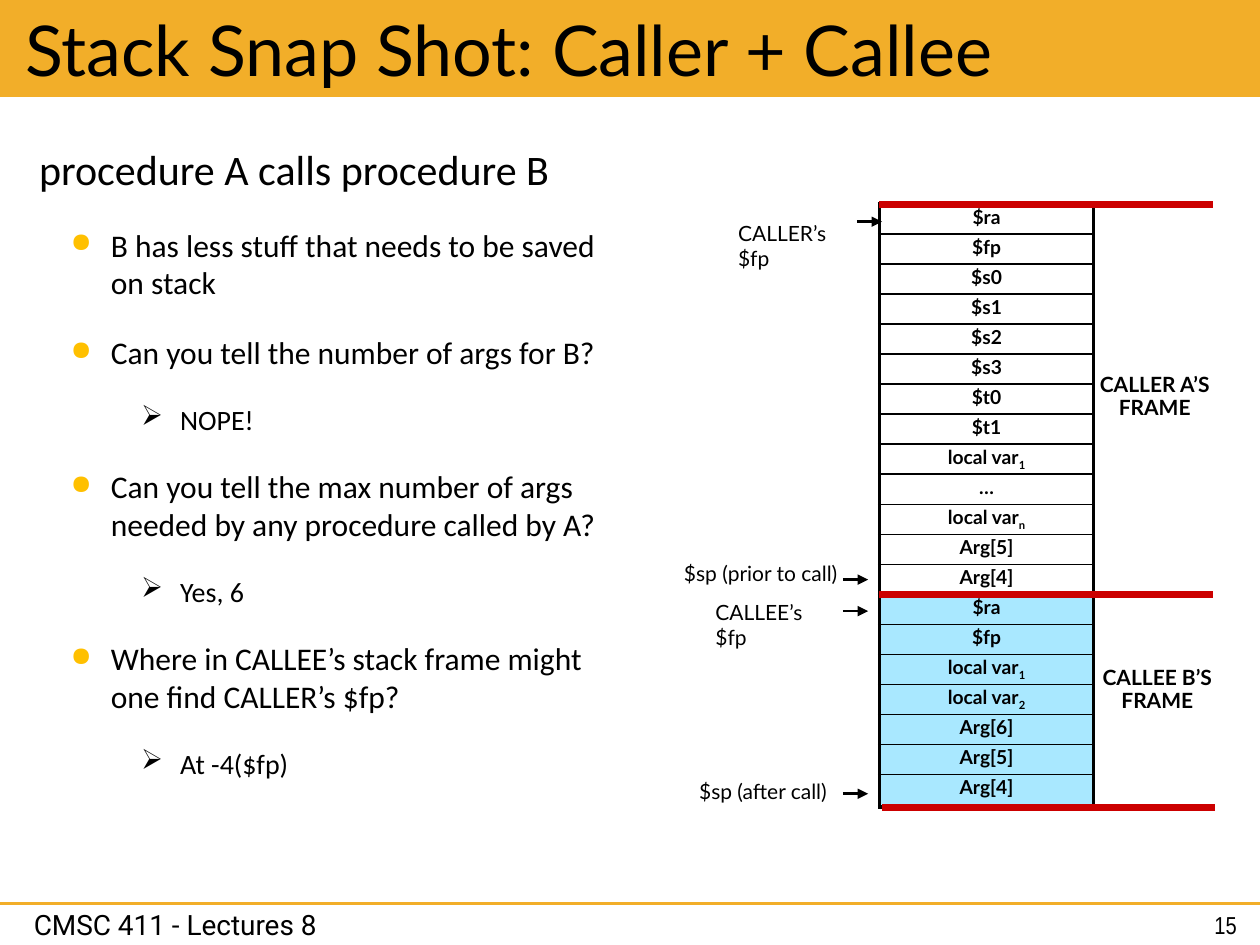
from lxml import etree
from pptx import Presentation
from pptx import util as u
from pptx.dml.color import RGBColor
from pptx.enum import shapes, text
from pptx.oxml.ns import qn

Inches, Pt = u.Inches, u.Pt
LEFT, CENTER = text.PP_ALIGN.LEFT, text.PP_ALIGN.CENTER
BLACK, WHITE, GOLD, RED, SKY = "000000", "FFFFFF", "F2AE29", "CC0000", "A9E8FF"
BULLETS = {1: ("●", "FFC000", 85, 0.57, -0.32), 2: ("➢", BLACK, 100, 1.12, -0.31)}
BODY_SIZES = (24, 18, 16)


def color(value):
    return RGBColor.from_string(value)


def add_element(parent, tag, **attributes):
    element = etree.SubElement(parent, qn(tag))
    for name, value in attributes.items():
        element.set(name, str(value))
    return element


class SlideBuilder:
    font = "Lato"

    def __init__(self, slide):
        self.slide = slide

    def run(self, paragraph, words, size, font=None, bold=False, baseline=0):
        run = paragraph.add_run()
        run.text = words
        run.font.name = font or self.font
        run.font.size = Pt(size)
        run.font.bold = bold
        run.font.color.rgb = color(BLACK)
        if baseline:
            run.font._element.set("baseline", str(baseline * 1000))

    def frame(self, shape, margins, wrap=True, anchor=text.MSO_ANCHOR.TOP):
        frame = shape.text_frame
        frame.word_wrap = wrap
        frame.vertical_anchor = anchor
        frame.margin_left = frame.margin_right = Inches(margins[0])
        frame.margin_top = frame.margin_bottom = Inches(margins[1])
        return frame

    def label(self, box, lines, size=12, font=None, bold=False, wrap=False,
              align=LEFT, spacing=None, margins=(0.1, 0.05)):
        shape = self.slide.shapes.add_textbox(*map(Inches, box))
        frame = self.frame(shape, margins, wrap)
        for index, words in enumerate(lines):
            paragraph = frame.add_paragraph() if index else frame.paragraphs[0]
            paragraph.alignment = align
            paragraph.line_spacing = spacing
            self.run(paragraph, words, size, font, bold)

    def title(self, box, words):
        shape = self.slide.shapes.add_shape(shapes.MSO_SHAPE.RECTANGLE, *map(Inches, box))
        shape.shadow.inherit = False
        shape.fill.solid()
        shape.fill.fore_color.rgb = color(GOLD)
        shape.line.fill.background()
        frame = self.frame(shape, (0.2, 0.05), anchor=text.MSO_ANCHOR.MIDDLE)
        frame.paragraphs[0].alignment = LEFT
        self.run(frame.paragraphs[0], words, 40)

    def outline(self, box, items):
        shape = self.slide.shapes.add_textbox(*map(Inches, box))
        frame = self.frame(shape, (0.2, 0.15))
        for index, (level, words) in enumerate(items):
            paragraph = frame.add_paragraph() if index else frame.paragraphs[0]
            if level:
                self.bullet(paragraph, level)
            paragraph.space_before = Pt(9 if index else 0)
            paragraph.space_after = Pt(9)
            self.run(paragraph, words, BODY_SIZES[level], "Calibri")

    def bullet(self, paragraph, level):
        character, tint, percent, margin, indent = BULLETS[level]
        paragraph.level = level
        properties = paragraph._p.get_or_add_pPr()
        properties.set("marL", str(Inches(margin)))
        properties.set("indent", str(Inches(indent)))
        add_element(add_element(properties, "a:buClr"), "a:srgbClr", val=tint)
        add_element(properties, "a:buSzPct", val=percent * 1000)
        add_element(properties, "a:buChar", char=character)

    def line(self, left, right, top, tint=BLACK, width=1.5, arrow=False):
        connector = self.slide.shapes.add_connector(
            shapes.MSO_CONNECTOR.STRAIGHT, *map(Inches, (left, top, right, top)))
        connector.line.color.rgb = color(tint)
        connector.line.width = Pt(width)
        properties = connector._element.spPr
        if arrow:
            add_element(properties.find(qn("a:ln")), "a:tailEnd", type="triangle")
        add_element(properties, "a:effectLst")

    def borders(self, cell, top, bottom):
        properties = cell._tc.get_or_add_tcPr()
        widths = (("a:lnL", 2.25), ("a:lnR", 2.25), ("a:lnT", top), ("a:lnB", bottom))
        for tag, width in widths:
            border = add_element(properties, tag, w=Pt(width))
            add_element(add_element(border, "a:solidFill"), "a:srgbClr", val=BLACK)

    def stack(self, box, entries, last_height):
        table = self.slide.shapes.add_table(len(entries), 1, *map(Inches, box)).table
        table.first_row = table.horz_banding = False
        last = len(entries) - 1
        row_height = (box[3] - last_height) / last
        for index, (words, subscript, fill) in enumerate(entries):
            table.rows[index].height = Inches(last_height if index == last else row_height)
            cell = table.cell(index, 0)
            cell.margin_left = cell.margin_right = cell.margin_bottom = 0
            cell.margin_top = Inches(0.01)
            self.borders(cell, 1 if index else 2.25, 2.25 if index == last else 1)
            cell.fill.solid()
            cell.fill.fore_color.rgb = color(fill)
            paragraph = cell.text_frame.paragraphs[0]
            paragraph.alignment = CENTER
            self.run(paragraph, words, 11, bold=True)
            if subscript:
                self.run(paragraph, subscript, 11, bold=True, baseline=-25)


def main():
    presentation = Presentation()
    presentation.slide_width, presentation.slide_height = Inches(10), Inches(7.5)
    builder = SlideBuilder(presentation.slides.add_slide(presentation.slide_layouts[6]))

    builder.label((0.17, 7.15, 3.33, 0.37), ["CMSC 411 - Lectures 8"], 16, "Roboto", wrap=True)
    builder.line(0, 10, 7.17, GOLD)
    builder.title((0, 0, 10, 0.77), "Stack Snap Shot: Caller + Callee")
    builder.outline((0.11, 0.99, 4.89, 5.3), [
        (0, "procedure A calls procedure B"),
        (1, "B has less stuff that needs to be saved on stack"),
        (1, "Can you tell the number of args for B?"),
        (2, "NOPE!"),
        (1, "Can you tell the max number of args needed by any procedure called by A?"),
        (2, "Yes, 6"),
        (1, "Where in CALLEE’s stack frame might one find CALLER’s $fp?"),
        (2, "At -4($fp)"),
    ])
    builder.label((9.54, 7.17, 0.42, 0.33), ["15"], 14, "Arial Narrow", wrap=True)

    caller = ["$ra", "$fp", "$s0", "$s1", "$s2", "$s3", "$t0", "$t1",
              "local var_1", "…", "local var_n", "Arg[5]", "Arg[4]"]
    callee = ["$ra", "$fp", "local var_1", "local var_2", "Arg[6]", "Arg[5]", "Arg[4]"]
    entries = []
    for names, fill in ((caller, WHITE), (callee, SKY)):
        for name in names:
            words, _, subscript = name.partition("_")
            entries.append((words, subscript, fill))
    builder.stack((6.98, 1.62, 1.7, 4.79), entries, 0.26)

    for left, right, top in ((6.98, 9.63, 4.72), (6.98, 9.63, 1.62), (7, 9.64, 6.41)):
        builder.line(left, right, top, RED, 4)

    for box, owner in (((8.61, 2.93, 1.11, 0.44), "CALLER A’S"),
                       ((8.64, 5.26, 1.09, 0.44), "CALLEE B’S")):
        builder.label(box, [owner, "FRAME"], bold=True, align=CENTER,
                      spacing=0.9, margins=(0.07, 0.04))

    pointers = [
        ("$sp (after call)", 5.45, 6.13, 1.29, False, 6.69, 6.3),
        ("$sp (prior to call)", 5.33, 4.4, 1.48, False, 6.69, 4.6),
        ("CALLER’s $fp", 5.76, 1.7, 1.16, True, 6.8, 1.76),
        ("CALLEE’s $fp", 5.58, 4.71, 1.16, True, 6.69, 4.85),
    ]
    for words, left, top, width, wrap, arrow_left, arrow_top in pointers:
        builder.label((left, top, width, 0.3), [words], wrap=wrap)
        builder.line(arrow_left, arrow_left + 0.2, arrow_top, arrow=True)

    presentation.save("out.pptx")


if __name__ == "__main__":
    main()
